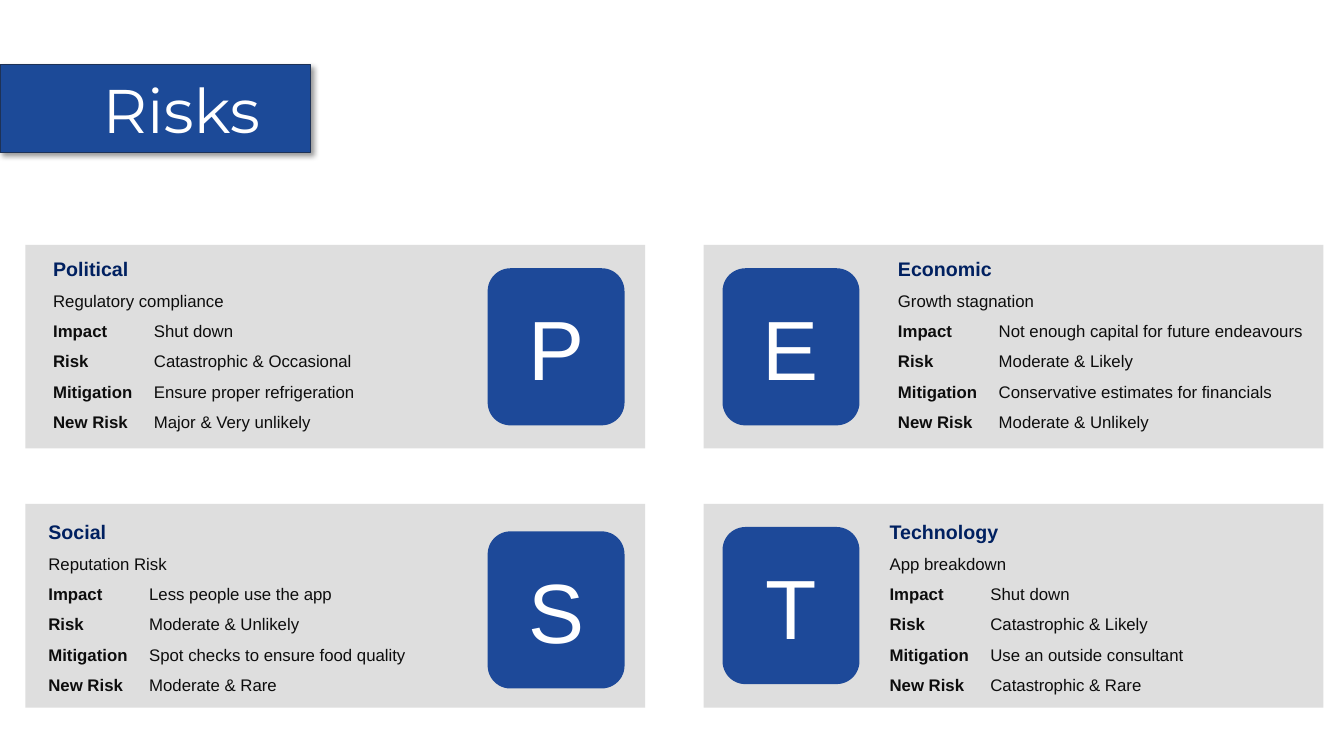
from lxml.etree import SubElement
from pptx import Presentation
from pptx.dml.color import RGBColor
from pptx.enum.shapes import MSO_SHAPE
from pptx.enum.text import MSO_ANCHOR, MSO_AUTO_SIZE, PP_ALIGN
from pptx.oxml import parse_xml
from pptx.oxml.ns import qn
from pptx.util import Cm, Pt

A_NS = "http://schemas.openxmlformats.org/drawingml/2006/main"


def add_box(kind, x, y, w, h, fill, line=None):
    sp = s.shapes.add_shape(kind, Cm(x), Cm(y), Cm(w), Cm(h))
    sp.shadow.inherit = False
    sp.fill.solid()
    sp.fill.fore_color.rgb = RGBColor.from_string(fill)
    if line:
        sp.line.color.rgb = RGBColor.from_string(line)
        sp.line.width = Pt(1)
    else:
        sp.line.fill.background()
    return sp


def add_text(p, text, size=12, color="0D0D0D", bold=False, font="Arial"):
    r = p.add_run()
    r.text = text
    r.font.size = Pt(size)
    r.font.name = font
    r.font.bold = bold
    r.font.color.rgb = RGBColor.from_string(color)


prs = Presentation()
prs.slide_width, prs.slide_height = Cm(33.87), Cm(19.05)
s = prs.slides.add_slide(prs.slide_layouts[5])

# Title banner with a soft shadow
banner = add_box(MSO_SHAPE.RECTANGLE, 0, 1.63, 7.82, 2.21, "1C4A98", "1E3256")
effects = banner._element.spPr.find(qn("a:effectLst"))
effects.append(parse_xml(
    f'<a:outerShdw xmlns:a="{A_NS}" blurRad="{Pt(4)}" dist="{Pt(3)}" dir="2700000" '
    'algn="tl" rotWithShape="0"><a:srgbClr val="000000"><a:alpha val="40000"/>'
    '</a:srgbClr></a:outerShdw>'))

title = s.shapes.title
title.left, title.top, title.width, title.height = Cm(2.33), Cm(1.02), Cm(29.21), Cm(3.68)
title.text_frame.vertical_anchor = MSO_ANCHOR.MIDDLE
p = title.text_frame.paragraphs[0]
p.alignment = PP_ALIGN.LEFT
p.line_spacing = 0.9
add_text(p, "Risks", size=44, color="FFFFFF", font="Montserrat")
s.shapes._spTree.append(title._element)  # bring the title in front of the banner

# Heading, risk, four row values, text box (x, y, width), top of the letter tile
LABELS = ["Impact", "Risk", "Mitigation", "New Risk"]
RISKS = [
    ("Political", "Regulatory compliance",
     ["Shut down", "Catastrophic & Occasional", "Ensure proper refrigeration",
      "Major & Very unlikely"], (1.09, 6.35, 8.48), 6.76),
    ("Economic", "Growth stagnation",
     ["Not enough capital for future endeavours", "Moderate & Likely",
      "Conservative estimates for financials", "Moderate & Unlikely"],
     (22.38, 6.35, 10.72), 6.76),
    ("Social", "Reputation Risk",
     ["Less people use the app", "Moderate & Unlikely",
      "Spot checks to ensure food quality", "Moderate & Rare"],
     (0.97, 12.98, 10.72), 13.39),
    ("Technology", "App breakdown",
     ["Shut down", "Catastrophic & Likely", "Use an outside consultant",
      "Catastrophic & Rare"], (22.17, 12.98, 8.48), 13.28),
]
PANEL_X, PANEL_Y, TILE_X = (0.64, 17.73), (6.17, 12.7), (12.29, 18.21)

for i, (heading, risk, values, (x, y, w), tile_y) in enumerate(RISKS):
    row, col = divmod(i, 2)
    panel = add_box(MSO_SHAPE.RECTANGLE, PANEL_X[col], PANEL_Y[row], 15.62, 5.13, "D9D9D9")
    color = panel._element.spPr.find(qn("a:solidFill"))[0]
    SubElement(color, qn("a:alpha")).set("val", "85000")

    tf = s.shapes.add_textbox(Cm(x), Cm(y), Cm(w), Cm(5.46)).text_frame
    tf.word_wrap = True
    tf.auto_size = MSO_AUTO_SIZE.SHAPE_TO_FIT_TEXT
    add_text(tf.paragraphs[0], heading, size=14, color="002060", bold=True)
    for label, value in [("", risk), *zip(LABELS, values)]:
        p = tf.add_paragraph()
        p.line_spacing = 1.5
        if label:
            tabs = SubElement(p._p.get_or_add_pPr(), qn("a:tabLst"))
            SubElement(tabs, qn("a:tab"), pos=str(Cm(2.54)), algn="l")
            add_text(p, label, bold=True)
            value = "\t" + value
        add_text(p, value)

    tile = add_box(MSO_SHAPE.ROUNDED_RECTANGLE, TILE_X[col], tile_y, 3.45, 3.96, "1D4999")
    tile.text_frame.vertical_anchor = MSO_ANCHOR.MIDDLE
    p = tile.text_frame.paragraphs[0]
    p.alignment = PP_ALIGN.CENTER
    add_text(p, heading[0], size=60, color="FFFFFF")

prs.save("out.pptx")
